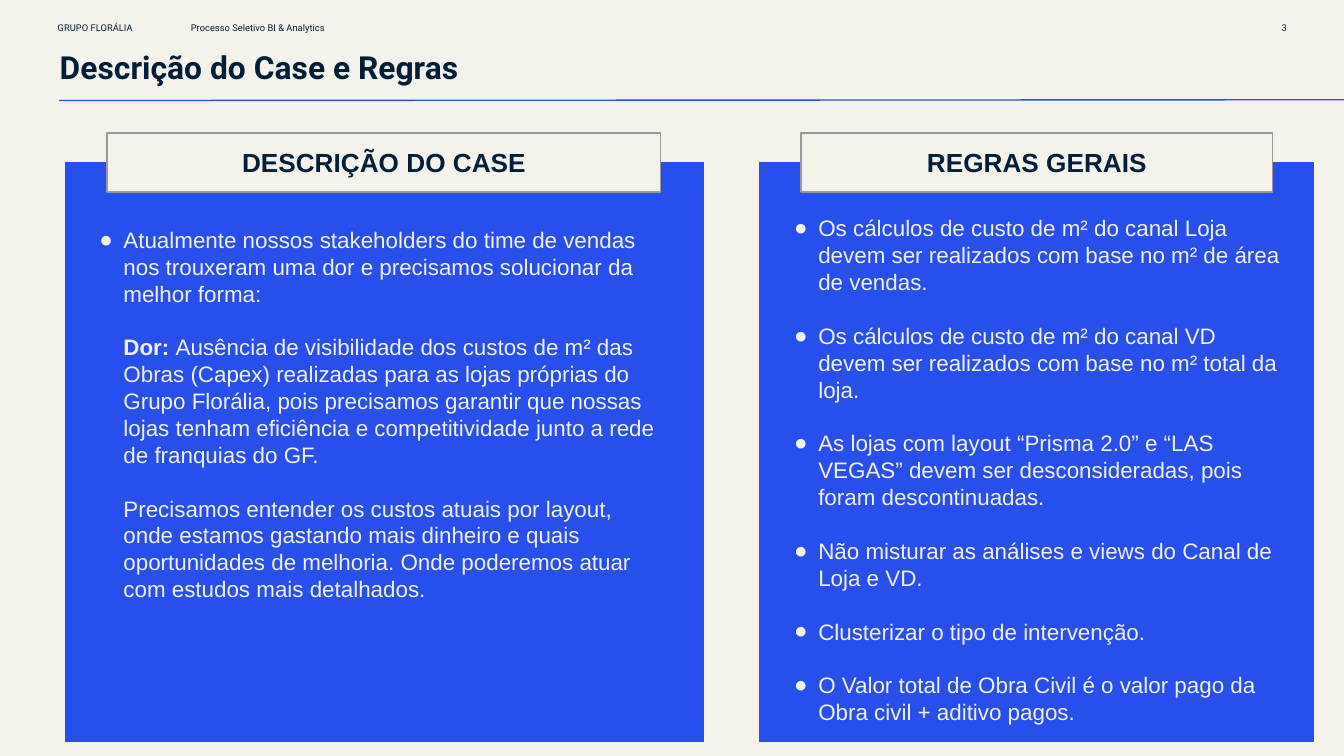
from lxml import etree
from pptx import Presentation
from pptx.dml.color import RGBColor
from pptx.enum.shapes import MSO_CONNECTOR, MSO_SHAPE
from pptx.enum.text import MSO_ANCHOR, PP_ALIGN
from pptx.oxml.ns import qn
from pptx.util import Inches, Pt

RECTANGLE = MSO_SHAPE.RECTANGLE
STRAIGHT = MSO_CONNECTOR.STRAIGHT
TOP, MIDDLE = MSO_ANCHOR.TOP, MSO_ANCHOR.MIDDLE
LEFT, CENTER, RIGHT = PP_ALIGN.LEFT, PP_ALIGN.CENTER, PP_ALIGN.RIGHT

CREAM = RGBColor(0xF5, 0xF1, 0xEB)
NAVY = RGBColor(0x01, 0x1F, 0x38)
TITLE_NAVY = RGBColor(0x01, 0x1E, 0x38)
BLUE = RGBColor(0x26, 0x4F, 0xEC)
GRAY = RGBColor(0x99, 0x99, 0x99)

# Widescreen, 16:9
SLIDE_WIDTH = Inches(10)
SLIDE_HEIGHT = SLIDE_WIDTH * 9 // 16

# Text formats
SMALL = {"name": "Roboto", "size": Pt(5), "color": NAVY}
TITLE = {"name": "Roboto", "size": Pt(17), "color": TITLE_NAVY, "bold": True}
HEADING = {"name": "Arial", "size": Pt(14), "color": NAVY, "bold": True}
BODY = {"name": "Arial", "size": Pt(12), "color": CREAM}
BODY_BOLD = {**BODY, "bold": True}

# Content: each item is (has bullet, [(text, format), ...])
CASE_ITEMS = [
    (True, [("Atualmente nossos stakeholders do time de vendas nos trouxeram uma "
             "dor e precisamos solucionar da melhor forma:", BODY)]),
    (False, [("Dor: ", BODY_BOLD),
             ("Ausência de visibilidade dos custos de m² das Obras (Capex) "
              "realizadas para as lojas próprias do Grupo Florália, pois "
              "precisamos garantir que nossas lojas tenham eficiência e "
              "competitividade junto a rede de franquias do GF.", BODY)]),
    (False, [("Precisamos entender os custos atuais por layout, onde estamos "
              "gastando mais dinheiro e quais oportunidades de melhoria. Onde "
              "poderemos atuar com estudos mais detalhados.", BODY)]),
]
RULES = [
    "Os cálculos de custo de m² do canal Loja devem ser realizados com base no "
    "m² de área de vendas.",
    "Os cálculos de custo de m² do canal VD devem ser realizados com base no "
    "m² total da loja.",
    "As lojas com layout “Prisma 2.0” e “LAS VEGAS” devem ser "
    "desconsideradas, pois foram descontinuadas.",
    "Não misturar as análises e views do Canal de Loja e VD.",
    "Clusterizar o tipo de intervenção.",
    "O Valor total de Obra Civil é o valor pago da Obra civil + aditivo pagos.",
]
RULE_ITEMS = [(True, [(rule, BODY)]) for rule in RULES]


def grid(left, top, width, height):
    """Turn percentages of the slide's size into lengths."""
    return [round(share * size / 100) for share, size in
            zip((left, top, width, height), (SLIDE_WIDTH, SLIDE_HEIGHT) * 2)]


def add_run(paragraph, text, text_format):
    run = paragraph.add_run()
    run.text = text
    for name, value in text_format.items():
        if name == "color":
            run.font.color.rgb = value
        else:
            setattr(run.font, name, value)


def set_frame(shape, inset, anchor):
    frame = shape.text_frame
    settings = {"word_wrap": True, "vertical_anchor": anchor}
    settings.update({f"margin_{side}": Inches(inset)
                     for side in ("left", "top", "right", "bottom")})
    for name, value in settings.items():
        setattr(frame, name, value)
    return frame


def add_label(shapes, box, text, text_format, inset=0.02, anchor=MIDDLE, align=LEFT):
    frame = set_frame(shapes.add_textbox(*grid(*box)), inset, anchor)
    frame.paragraphs[0].alignment = align
    add_run(frame.paragraphs[0], text, text_format)


def add_box(shapes, box, fill, line):
    shape = shapes.add_shape(RECTANGLE, *grid(*box))
    shape.shadow.inherit = False
    shape.fill.solid()
    shape.fill.fore_color.rgb = fill
    shape.line.color.rgb = line
    shape.line.width = Pt(0.75)
    return shape


def add_rule(shapes, left, top, right, bottom):
    rule = shapes.add_connector(STRAIGHT, *grid(left, top, right, bottom))
    rule.line.color.rgb = BLUE
    rule.line.width = Pt(0.75)
    etree.SubElement(rule.element.spPr, qn("a:effectLst"))


def indent(paragraph, bullet):
    properties = paragraph._p.get_or_add_pPr()
    properties.set("marL", str(Inches(0.2)))
    properties.set("indent", str(Inches(-0.18) if bullet else 0))
    if bullet:
        color = etree.SubElement(properties, qn("a:buClr"))
        etree.SubElement(color, qn("a:srgbClr"), val=str(CREAM))
        etree.SubElement(properties, qn("a:buFont"), typeface="Arial")
        etree.SubElement(properties, qn("a:buChar"), char="●")


def add_items(shapes, box, items):
    frame = set_frame(shapes.add_textbox(*grid(*box)), 0.1, TOP)
    for index, (bullet, runs) in enumerate(items):
        paragraph = frame.add_paragraph() if index else frame.paragraphs[0]
        paragraph.line_spacing = 1.0
        paragraph.space_before = Pt(14.4 if index else 0)
        indent(paragraph, bullet)
        for text, text_format in runs:
            add_run(paragraph, text, text_format)


def add_card(slide, left, width, heading, heading_width, items, body_box):
    """Blue panel with its text and a heading that overlaps the top edge."""
    shapes = slide.shapes.add_group_shape().shapes
    add_box(shapes, (left, 21.5, width, 76.6), BLUE, BLUE)
    add_items(shapes, body_box, items)
    header = add_box(shapes, (left + 3.1, 17.6, heading_width, 7.8), CREAM, GRAY)
    paragraph = set_frame(header, 0.1, MIDDLE).paragraphs[0]
    paragraph.alignment = CENTER
    add_run(paragraph, heading, HEADING)


def main():
    presentation = Presentation()
    presentation.slide_width = SLIDE_WIDTH
    presentation.slide_height = SLIDE_HEIGHT
    slide = presentation.slides.add_slide(presentation.slide_layouts[6])
    slide.background.fill.solid()
    slide.background.fill.fore_color.rgb = CREAM
    shapes = slide.shapes

    # Running header
    add_label(shapes, (4.1, 2.5, 7, 2.3), "GRUPO FLORÁLIA", SMALL)
    add_label(shapes, (14, 2.5, 13.4, 2.3), "Processo Seletivo BI & Analytics", SMALL)
    add_label(shapes, (94.55, 2.5, 1.4, 2.3), "3", SMALL, align=RIGHT)

    # Title and rule
    add_rule(shapes, 4.4, 13.3, 100, 13.2)
    add_label(shapes, (3.85, 5.3, 94.7, 7.1), "Descrição do Case e Regras",
              TITLE, inset=0.06, anchor=TOP)

    # Cards
    add_card(slide, 56.5, 41.2, "REGRAS GERAIS", 35.1,
             RULE_ITEMS, (57.9, 26.6, 38.5, 71.8))
    add_card(slide, 4.87, 47.5, "DESCRIÇÃO DO CASE", 41.2,
             CASE_ITEMS, (6.2, 28.1, 43.8, 53.9))

    presentation.save("out.pptx")


if __name__ == "__main__":
    main()
